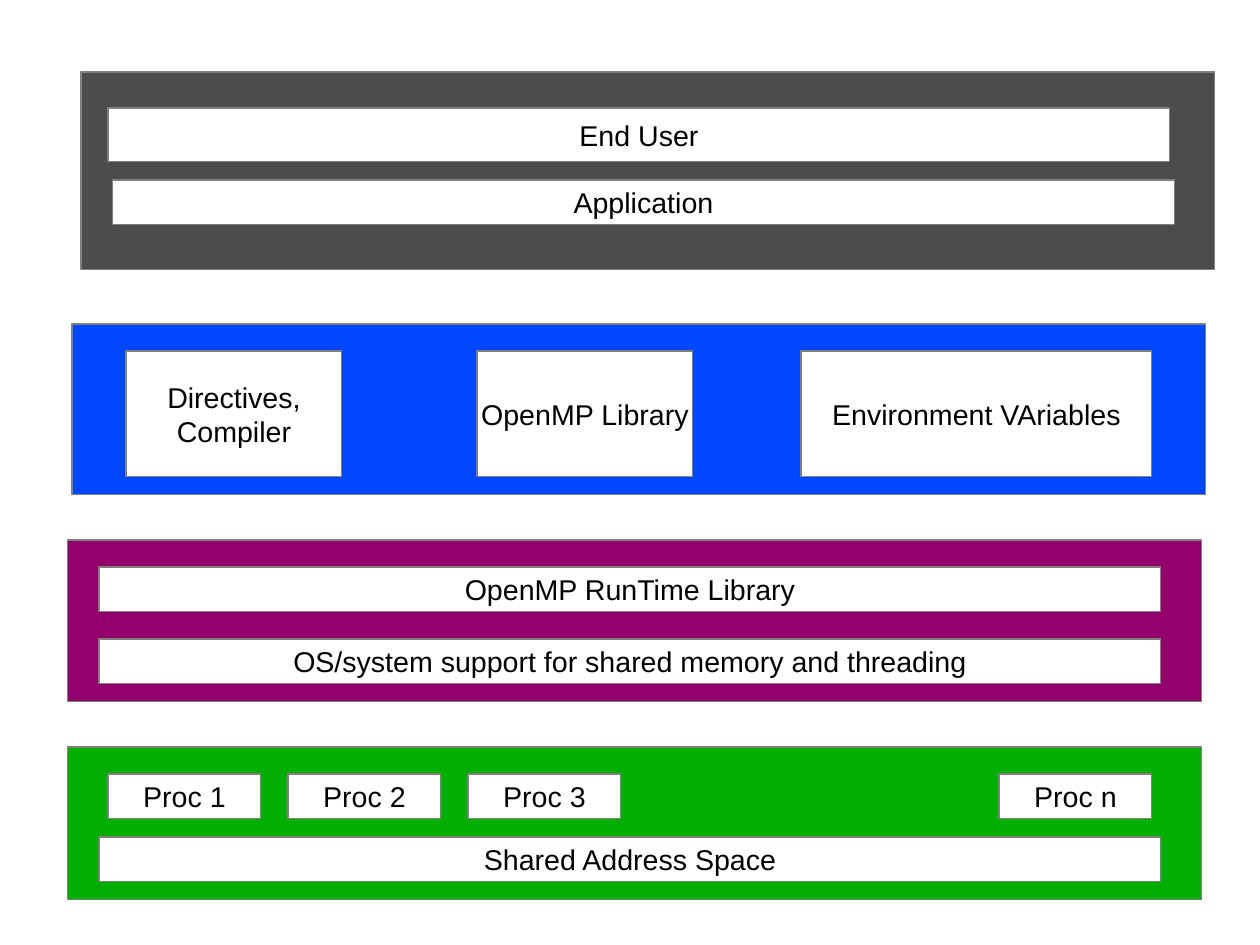
from pptx import Presentation
from pptx.dml.color import RGBColor
from pptx.enum.shapes import MSO_SHAPE
from pptx.enum.text import MSO_ANCHOR, PP_ALIGN
from pptx.util import Inches, Pt

RECTANGLE = MSO_SHAPE.RECTANGLE
MIDDLE = MSO_ANCHOR.MIDDLE
CENTER = PP_ALIGN.CENTER

# The layout sits on a metric grid: all measures below are centimetres
CM_PER_INCH = 2.54
SLIDE_WIDTH, SLIDE_HEIGHT = 28, 21
LAYER_WIDTH = 25.2
BAR_WIDTH, BAR_HEIGHT = 23.6, 1
BLOCK_TOP, BLOCK_HEIGHT = 7.8, 2.8
PROC_TOP, PROC_WIDTH = 17.2, 3.4
PROC_LEFT, PROC_STEP, LAST_PROC_LEFT = 2.4, 4, 22.2

presentation = Presentation()
presentation.slide_width = Inches(SLIDE_WIDTH / CM_PER_INCH)
presentation.slide_height = Inches(SLIDE_HEIGHT / CM_PER_INCH)
slide = presentation.slides.add_slide(presentation.slide_layouts[6])


def color(hex_string):
    return RGBColor.from_string(hex_string)


def add_box(text, left, top, width, height, fill="FFFFFF", size=18, font="Arial"):
    box = [Inches(length / CM_PER_INCH) for length in (left, top, width, height)]
    shape = slide.shapes.add_shape(RECTANGLE, *box)
    shape.shadow.inherit = False
    shape.fill.solid()
    shape.fill.fore_color.rgb = color(fill)
    shape.line.color.rgb = color("808080")
    shape.line.width = Pt(0)
    if not text:
        return
    frame = shape.text_frame
    frame.word_wrap = False
    frame.vertical_anchor = MIDDLE
    frame.text = text
    for paragraph in frame.paragraphs:
        paragraph.alignment = CENTER
        paragraph.font.size = Pt(size)
        paragraph.font.name = font
        paragraph.font.color.rgb = color("000000")


# Coloured layers: hardware, system, programming, user
for left, top, height, fill in [
    (1.5, 16.6, 3.4, "00AE00"),
    (1.5, 12, 3.6, "94006B"),
    (1.6, 7.2, 3.8, "0047FF"),
    (1.8, 1.6, 4.4, "4C4C4C"),
]:
    add_box("", left, top, LAYER_WIDTH, height, fill=fill)

# User layer bars
add_box("End User", 2.4, 2.4, BAR_WIDTH, 1.2)
add_box("Application", 2.5, 4, BAR_WIDTH, BAR_HEIGHT)

# Programming layer blocks
for text, left, width in [
    ("Directives,\nCompiler", 2.8, 4.8),
    ("OpenMP Library", 10.6, 4.8),
    ("Environment VAriables", 17.8, 7.8),
]:
    add_box(text, left, BLOCK_TOP, width, BLOCK_HEIGHT)

# System and hardware layer bars
for text, top in [
    ("OpenMP RunTime Library", 12.6),
    ("OS/system support for shared memory and threading", 14.2),
    ("Shared Address Space", 18.6),
]:
    add_box(text, 2.2, top, BAR_WIDTH, BAR_HEIGHT)

# Processors: three evenly spaced, the last one at the right
for index in range(3):
    add_box(f"Proc {index + 1}", PROC_LEFT + index * PROC_STEP, PROC_TOP,
            PROC_WIDTH, BAR_HEIGHT)
add_box("Proc n", LAST_PROC_LEFT, PROC_TOP, PROC_WIDTH, BAR_HEIGHT)

presentation.save("out.pptx")
